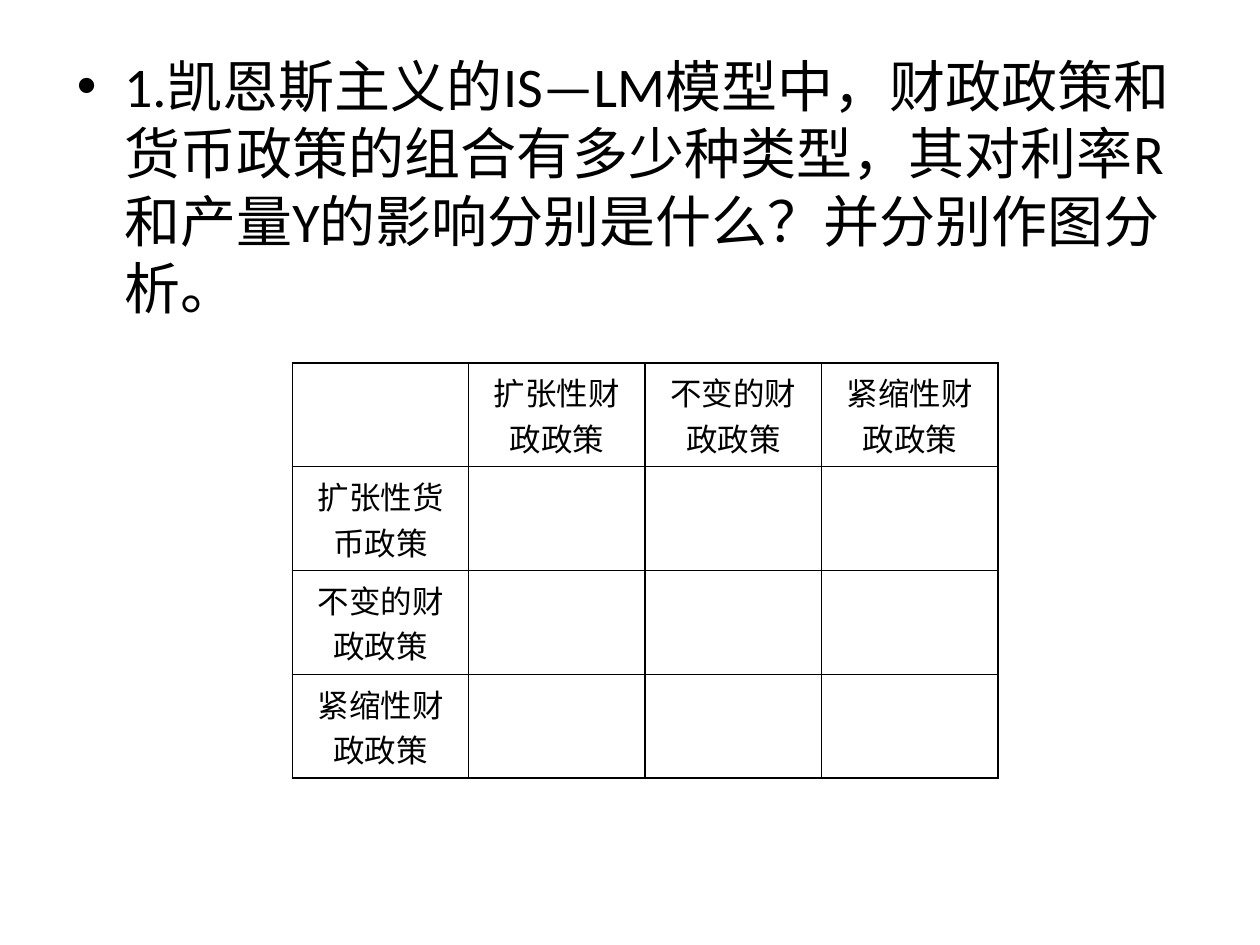
from lxml.etree import SubElement
from pptx import Presentation
from pptx.dml.color import RGBColor
from pptx.enum.text import PP_ALIGN as Align
from pptx.oxml.ns import qn
from pptx.util import Inches, Pt

QUESTION = ("1.凯恩斯主义的IS—LM模型中，财政政策和货币政策的组合有多少种类型，"
            "其对利率R和产量Y的影响分别是什么？并分别作图分析。")
FISCAL_POLICIES = ["扩张性财政政策", "不变的财政政策", "紧缩性财政政策"]
ROW_POLICIES = ["扩张性货币政策", "不变的财政政策", "紧缩性财政政策"]


def color(hex_value):
    return RGBColor.from_string(hex_value)


class SlideBuilder:
    font_name = "Calibri"
    ink = "000000"

    def __init__(self, slide):
        self.slide = slide

    def format_font(self, paragraph, size):
        values = {"name": self.font_name, "size": Pt(size)}
        for name, value in values.items():
            setattr(paragraph.font, name, value)
        paragraph.font.color.rgb = color(self.ink)

    def question(self, text, left, top, width, height):
        body = self.slide.placeholders[1]
        place = {"left": left, "top": top, "width": width, "height": height}
        for name, value in place.items():
            setattr(body, name, Inches(value))
        body.text_frame.text = text
        paragraph = body.text_frame.paragraphs[0]
        self.format_font(paragraph, 32)

    def border(self, cell):
        properties = cell._tc.get_or_add_tcPr()
        for side in ("a:lnL", "a:lnR", "a:lnT", "a:lnB"):
            line = SubElement(properties, qn(side), w=str(Pt(1)))
            fill = SubElement(line, qn("a:solidFill"))
            SubElement(fill, qn("a:srgbClr"), val=self.ink)

    def table(self, rows, left, top, column_width, row_height):
        row_count, column_count = len(rows), len(rows[0])
        frame = self.slide.shapes.add_table(
            row_count, column_count, Inches(left), Inches(top),
            Inches(column_width * column_count), Inches(row_height * row_count))
        table = frame.table
        table.first_row = table.horz_banding = False
        for row, texts in zip(table.rows, rows):
            for cell, text in zip(row.cells, texts):
                self.border(cell)
                cell.fill.background()
                paragraph = cell.text_frame.paragraphs[0]
                paragraph.alignment = Align.CENTER
                self.format_font(paragraph, 18)
                if text:
                    paragraph.add_run().text = text


def main():
    presentation = Presentation()
    presentation.slide_width, presentation.slide_height = Inches(10), Inches(7.5)
    slide = presentation.slides.add_slide(presentation.slide_layouts[1])
    title = slide.shapes.title
    title.element.getparent().remove(title.element)
    builder = SlideBuilder(slide)

    # Question
    builder.question(QUESTION, 0.51, 0.36, 9, 4.95)

    # Policy combinations, left open for the answers
    rows = [[""] + FISCAL_POLICIES]
    rows += [[policy] + [""] * len(FISCAL_POLICIES) for policy in ROW_POLICIES]
    builder.table(rows, 2.32, 2.88, 1.4, 0.77)

    presentation.save("out.pptx")


if __name__ == "__main__":
    main()
